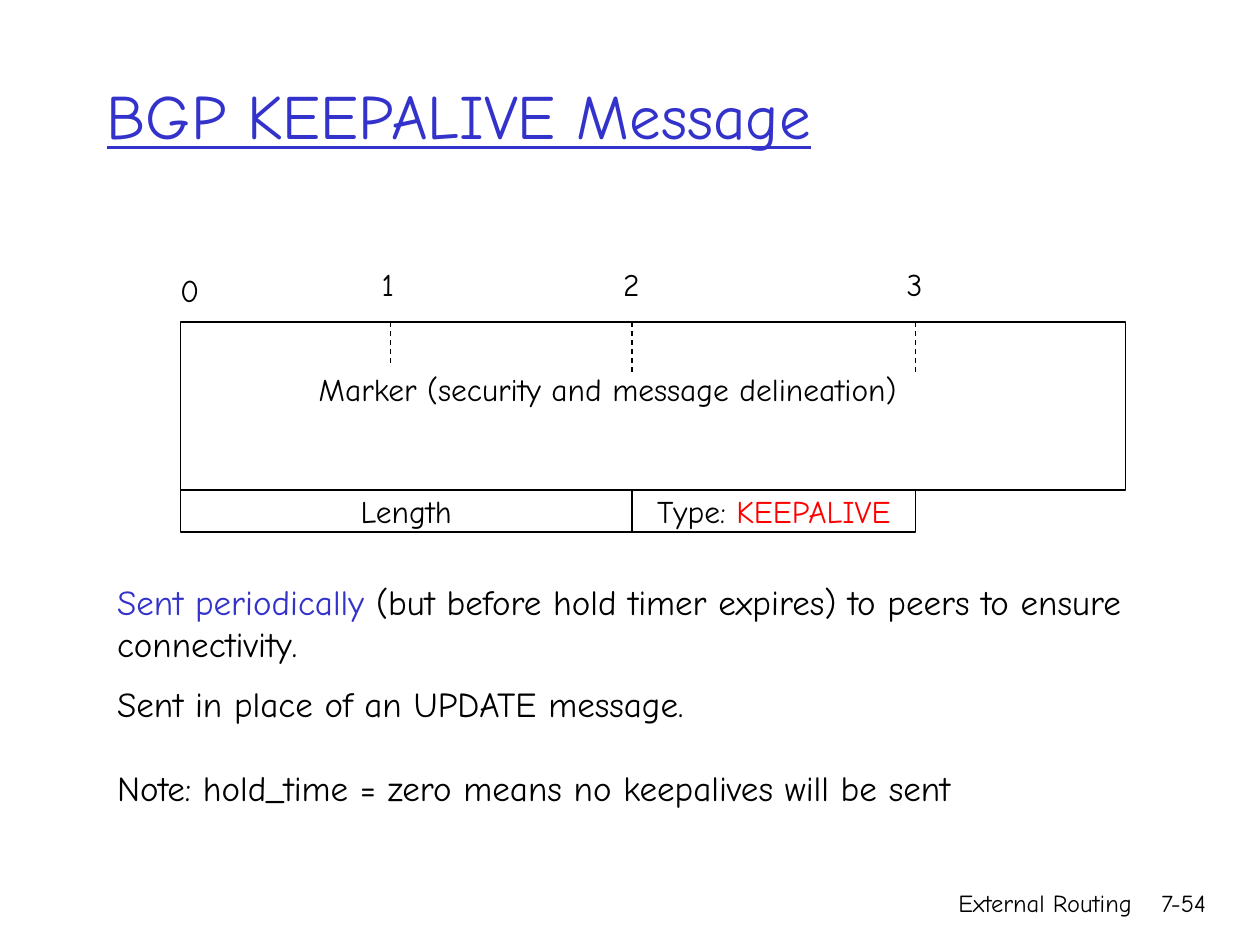
"""Build the slide that lays out the BGP KEEPALIVE message."""
from dataclasses import dataclass

from pptx import Presentation
from pptx.dml.color import RGBColor as Color
from pptx.enum.dml import MSO_LINE_DASH_STYLE as Dash
from pptx.enum.shapes import MSO_CONNECTOR_TYPE as Connector, MSO_SHAPE as Shape
from pptx.enum.text import MSO_ANCHOR as Anchor, MSO_AUTO_SIZE as AutoSize, PP_ALIGN as Align
from pptx.oxml.ns import qn
from pptx.util import Pt


@dataclass(frozen=True)
class Theme:
    """Font, colours, type sizes and line width."""
    font: str = "Comic Neue"
    black: Color = Color(0x00, 0x00, 0x00)
    blue: Color = Color(0x33, 0x33, 0xCC)
    red: Color = Color(0xFF, 0x00, 0x00)
    title: float = 36
    body: float = 20
    diagram: float = 18
    footer: float = 14
    line: float = 0.75


THEME = Theme()


@dataclass(frozen=True)
class Box:
    """Left, top, width and height in points."""
    left: float
    top: float
    width: float
    height: float

    def lengths(self) -> tuple:
        """Return the four lengths for python-pptx."""
        return Pt(self.left), Pt(self.top), Pt(self.width), Pt(self.height)


@dataclass(frozen=True)
class Words:
    """A stretch of text in one colour."""
    text: str
    color: Color = THEME.black
    underline: bool = False


@dataclass(frozen=True)
class Line:
    """A paragraph with the space before it in points."""
    words: tuple
    space_before: float = 0


@dataclass(frozen=True)
class Field:
    """A bordered field of the message."""
    box: Box
    words: tuple = ()


@dataclass(frozen=True)
class ByteMark:
    """A byte number and the dashed tick under it."""
    number: str
    label: Box
    tick_x: float = 0
    tick_length: float = 0


def apply(target: object, values: dict) -> None:
    """Set each named attribute on the target."""
    for name, value in values.items():
        setattr(target, name, value)


def write(shape, lines: tuple, size: float, align=Align.LEFT, **frame_format) -> None:
    """Fill a shape with formatted paragraphs."""
    frame = shape.text_frame
    apply(frame, {"word_wrap": True, **frame_format})
    for index, line in enumerate(lines):
        paragraph = frame.add_paragraph() if index else frame.paragraphs[0]
        apply(paragraph, {"alignment": align, "space_before": Pt(line.space_before)})
        for words in line.words:
            run = paragraph.add_run()
            run.text = words.text
            apply(run.font, {"name": THEME.font, "size": Pt(size), "underline": words.underline})
            run.font.color.rgb = words.color


def add_text(slide, box: Box, lines: tuple, size: float, **text_format) -> None:
    """Add a text box."""
    write(slide.shapes.add_textbox(*box.lengths()), lines, size, **text_format)


def add_label(slide, box: Box, text: str) -> None:
    """Add an unwrapped diagram label."""
    add_text(slide, box, (Line((Words(text),)),), THEME.diagram,
             word_wrap=False, auto_size=AutoSize.SHAPE_TO_FIT_TEXT)


def set_line(line, **values) -> None:
    """Give an outline or connector the diagram's line format."""
    line.color.rgb = THEME.black
    apply(line, {"width": Pt(THEME.line), **values})


def add_field(slide, field: Field) -> None:
    """Add a bordered message field."""
    shape = slide.shapes.add_shape(Shape.RECTANGLE, *field.box.lengths())
    shape.shadow.inherit = False
    shape.fill.background()
    set_line(shape.line)
    if field.words:
        write(shape, (Line(field.words),), THEME.diagram, align=Align.CENTER,
              word_wrap=False, vertical_anchor=Anchor.MIDDLE)


def add_byte_mark(slide, mark: ByteMark, top: float) -> None:
    """Add a byte number and its tick, if it has one."""
    if mark.tick_length:
        tick = slide.shapes.add_connector(
            Connector.STRAIGHT, Pt(mark.tick_x), Pt(top),
            Pt(mark.tick_x), Pt(top + mark.tick_length))
        set_line(tick.line, dash_style=Dash.DASH)
        properties = tick.element.spPr
        properties.append(properties.makeelement(qn("a:effectLst"), {}))
    add_label(slide, mark.label, mark.number)


def main() -> None:
    """Build and save the slide."""
    presentation = Presentation()
    apply(presentation, {"slide_width": Pt(720), "slide_height": Pt(540)})
    slide = presentation.slides.add_slide(presentation.slide_layouts[6])

    add_text(slide, Box(54, 31.5, 612, 67.5),
             (Line((Words("BGP KEEPALIVE Message", THEME.blue, True),)),),
             THEME.title, vertical_anchor=Anchor.MIDDLE)

    left, top, middle, row = 103, 184, 280, 24
    byte_1, byte_2, byte_3 = 223.2, 361.2, 523.2
    fields = (
        Field(Box(left, top, 540, middle - top)),
        Field(Box(left, middle, byte_2 - left, row), (Words("Length"),)),
        Field(Box(byte_2, middle, byte_3 - byte_2, row),
              (Words("Type: "), Words("KEEPALIVE", THEME.red))),
    )
    for field in fields:
        add_field(slide, field)

    marks = [ByteMark("0", Box(95.8, 151.4, 26.6, 36))]
    for number, (x, length) in enumerate(((byte_1, 24), (byte_2, 30), (byte_3, 30)), 1):
        marks.append(ByteMark(str(number), Box(x - 12.2, 148, 26.6, 36), x, length))
    for mark in marks:
        add_byte_mark(slide, mark, top)
    add_label(slide, Box(175, 208, 423.4, 36), "Marker (security and message delineation)")

    notes = (
        Line((Words("Sent periodically ", THEME.blue),
              Words("(but before hold timer expires) to peers to ensure connectivity."))),
        Line((Words("Sent in place of an UPDATE message."),), 10),
        Line((Words("Note: hold_time = zero means no keepalives will be sent"),), 24),
    )
    add_text(slide, Box(59.8, 328.3, 606.2, 140.4), notes, THEME.body,
             auto_size=AutoSize.SHAPE_TO_FIT_TEXT)

    for box, text in ((Box(426, 504, 228, 36), "External Routing"),
                      (Box(643, 504, 53.2, 36), "7-54")):
        add_text(slide, box, (Line((Words(text),)),), THEME.footer, align=Align.RIGHT)

    presentation.save("out.pptx")


if __name__ == "__main__":
    main()
